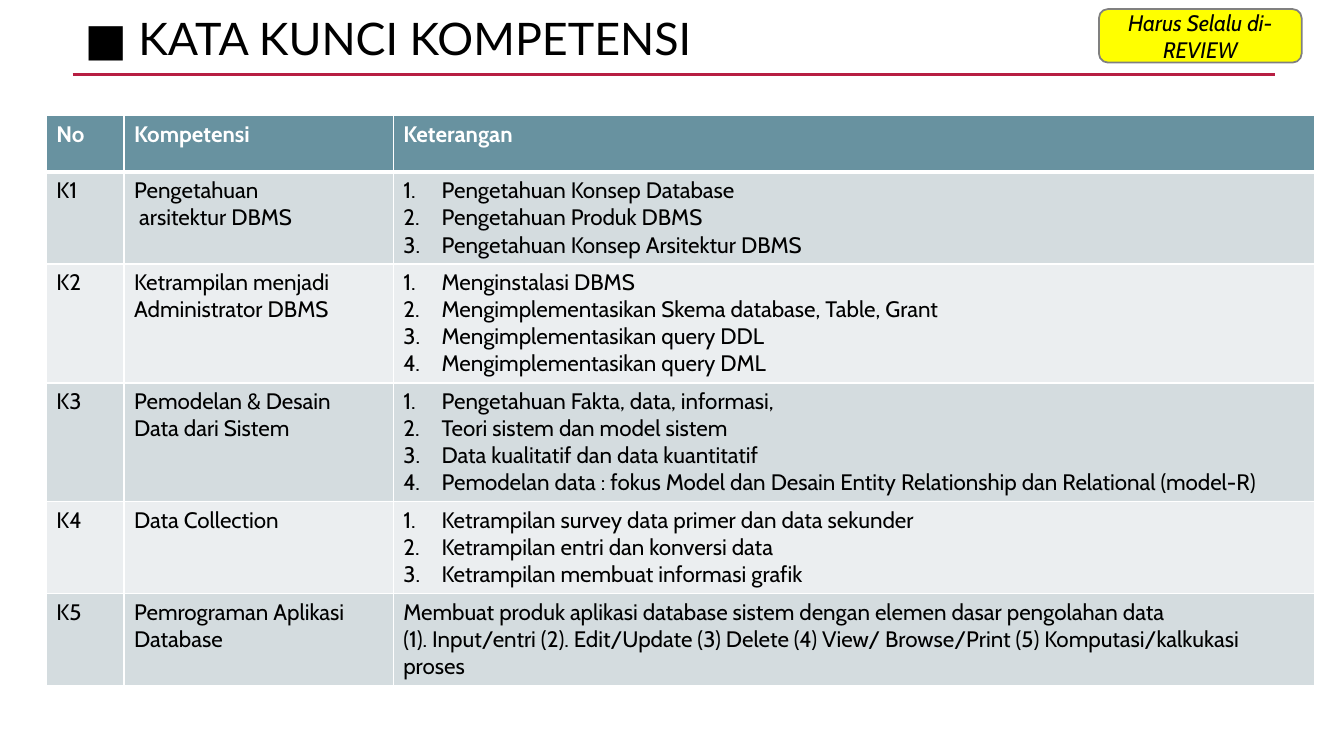
from lxml import etree
from pptx import Presentation
from pptx.dml.color import RGBColor
from pptx.enum.shapes import MSO_CONNECTOR, MSO_SHAPE
from pptx.enum.text import MSO_ANCHOR, PP_ALIGN
from pptx.oxml.ns import qn
from pptx.util import Inches, Pt

STRAIGHT = MSO_CONNECTOR.STRAIGHT
ROUNDED = MSO_SHAPE.ROUNDED_RECTANGLE
MIDDLE = MSO_ANCHOR.MIDDLE
CENTER = PP_ALIGN.CENTER

BLACK = RGBColor(0x00, 0x00, 0x00)
WHITE = RGBColor(0xFF, 0xFF, 0xFF)
CRIMSON = RGBColor(0xB7, 0x1E, 0x42)
TEAL = RGBColor(0x68, 0x92, 0xA0)
BAND_DARK = RGBColor(0xD4, 0xDC, 0xDF)
BAND_LIGHT = RGBColor(0xEB, 0xEE, 0xF0)
YELLOW = RGBColor(0xFF, 0xFF, 0x00)
GRAY = RGBColor(0x80, 0x80, 0x80)

# The slide is a grid of 100 columns by 100 rows
WIDTH, HEIGHT = Inches(13.33), Inches(7.5)
COLUMN_SHARES = (5.78, 20.03, 68.57)
HEADER_ROWS, LINE_ROWS, PADDING_ROWS = 7.47, 3.6, 1.33
NUMBER_INDENT = 2.85

HEADINGS = ("No", "Kompetensi", "Keterangan")
# Code, competence lines, detail lines, whether the details are numbered
COMPETENCES = (
    ("K1", ("Pengetahuan", " arsitektur DBMS"),
     ("Pengetahuan Konsep Database", "Pengetahuan Produk DBMS",
      "Pengetahuan Konsep Arsitektur DBMS"), True),
    ("K2", ("Ketrampilan menjadi", "Administrator DBMS"),
     ("Menginstalasi DBMS",
      "Mengimplementasikan Skema database, Table, Grant",
      "Mengimplementasikan query DDL",
      "Mengimplementasikan query DML"), True),
    ("K3", ("Pemodelan & Desain", "Data dari Sistem"),
     ("Pengetahuan Fakta, data, informasi,",
      "Teori sistem dan model sistem",
      "Data kualitatif dan data kuantitatif",
      "Pemodelan data : fokus Model dan Desain Entity Relationship "
      "dan Relational (model-R)"), True),
    ("K4", ("Data Collection",),
     ("Ketrampilan survey data primer dan data sekunder",
      "Ketrampilan entri dan konversi data",
      "Ketrampilan membuat informasi grafik"), True),
    ("K5", ("Pemrograman Aplikasi Database",),
     ("Membuat produk aplikasi database sistem dengan elemen dasar "
      "pengolahan data",
      "(1). Input/entri (2). Edit/Update (3) Delete (4) View/ Browse/Print "
      "(5) Komputasi/kalkukasi proses"), False),
)


def across(columns):
    return round(WIDTH * columns / 100)


def down(rows):
    return round(HEIGHT * rows / 100)


def area(left, top, width, height):
    return across(left), down(top), across(width), down(height)


def write(frame, lines, size=16, font="Cabin", color=BLACK,
          bold=False, italic=False):
    frame.text = "\n".join(lines)
    for para in frame.paragraphs:
        for span in para.runs:
            span.font.size = Pt(size)
            span.font.name = font
            span.font.color.rgb = color
            span.font.bold = bold
            span.font.italic = italic


def number(frame):
    for para in frame.paragraphs:
        properties = para._p.get_or_add_pPr()
        properties.set("marL", str(across(NUMBER_INDENT)))
        properties.set("indent", str(-across(NUMBER_INDENT)))
        etree.SubElement(properties, qn("a:buAutoNum"), type="arabicPeriod")


def set_borders(cell, bottom):
    properties = cell._tc.get_or_add_tcPr()
    sides = (("L", 1), ("R", 1), ("T", 1), ("B", bottom))
    for position, (side, points) in enumerate(sides):
        border = etree.Element(qn(f"a:ln{side}"), w=str(Pt(points)))
        fill = etree.SubElement(border, qn("a:solidFill"))
        etree.SubElement(fill, qn("a:srgbClr"), val=str(WHITE))
        properties.insert(position, border)


def fill_cell(cell, lines, fill, bottom=1, **style):
    cell.fill.solid()
    cell.fill.fore_color.rgb = fill
    set_borders(cell, bottom)
    write(cell.text_frame, lines, **style)


def add_title(page, text):
    rule = page.shapes.add_connector(
        STRAIGHT, across(5.4), down(9.87), across(94.9), down(9.87))
    rule.line.color.rgb = CRIMSON
    rule.line.width = Pt(2.5)
    etree.SubElement(rule._element.spPr, qn("a:effectLst"))

    box = page.shapes.add_textbox(*area(5.55, 1.87, 92.27, 7.2))
    frame = box.text_frame
    frame.word_wrap = True
    frame.vertical_anchor = MIDDLE
    write(frame, [text], size=32, font="Lato")
    frame.paragraphs[0].line_spacing = 0.9


def add_competence_table(page):
    # Each row is as tall as its lines, and the last detail wraps once
    heights = [HEADER_ROWS] + [
        PADDING_ROWS + LINE_ROWS * (len(details) + (not numbered))
        for _, _, details, numbered in COMPETENCES]
    table = page.shapes.add_table(
        len(heights), len(HEADINGS),
        *area(3.45, 15.33, sum(COLUMN_SHARES), sum(heights))).table
    for column, share in zip(table.columns, COLUMN_SHARES):
        column.width = across(share)
    for row, height in zip(table.rows, heights):
        row.height = down(height)

    for position, heading in enumerate(HEADINGS):
        fill_cell(table.cell(0, position), [heading], TEAL, bottom=3,
                  color=WHITE, bold=True)
    for index, (code, name, details, numbered) in enumerate(COMPETENCES, 1):
        band = BAND_DARK if index % 2 else BAND_LIGHT
        for position, lines in enumerate(((code,), name, details)):
            fill_cell(table.cell(index, position), lines, band)
        if numbered:
            number(table.cell(index, 2).text_frame)


def add_badge(page, text):
    badge = page.shapes.add_shape(ROUNDED, *area(81.77, 1.2, 15.08, 7.07))
    badge.shadow.inherit = False
    badge.fill.solid()
    badge.fill.fore_color.rgb = YELLOW
    badge.line.color.rgb = GRAY
    badge.line.width = Pt(1.25)
    frame = badge.text_frame
    frame.word_wrap = True
    frame.vertical_anchor = MIDDLE
    write(frame, [text], italic=True)
    frame.paragraphs[0].alignment = CENTER


def main():
    deck = Presentation()
    deck.slide_width, deck.slide_height = WIDTH, HEIGHT
    page = deck.slides.add_slide(deck.slide_layouts[6])
    add_title(page, "■ KATA KUNCI KOMPETENSI")
    add_competence_table(page)
    add_badge(page, "Harus Selalu di-REVIEW")
    deck.save("out.pptx")


if __name__ == "__main__":
    main()
